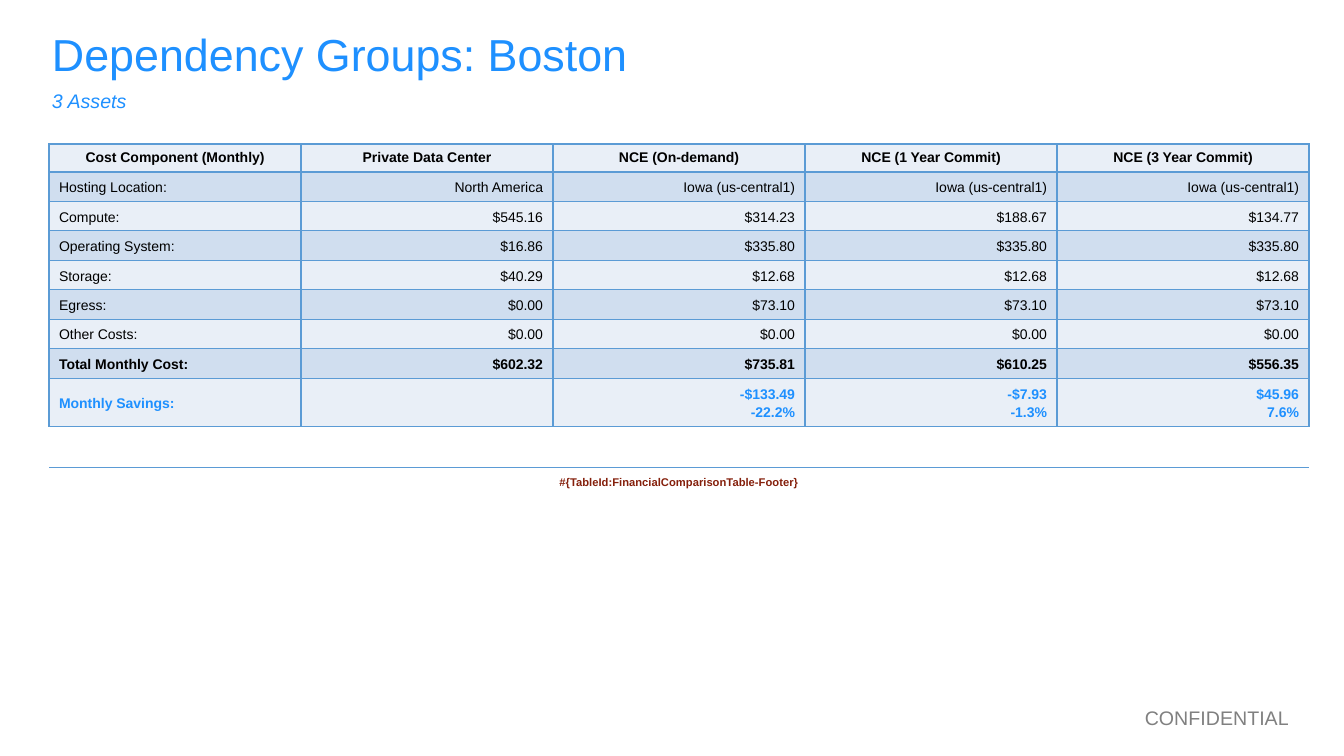
from lxml.etree import SubElement
from pptx import Presentation
from pptx.dml.color import RGBColor as Rgb
from pptx.enum.text import MSO_ANCHOR as Anchor, PP_ALIGN as Align
from pptx.oxml.ns import qn
from pptx.util import Emu, Pt

PX_PER_INCH = 100.8
FONT = "Arial"
COLORS = {
    "accent": "1E90FF",
    "text": "000000",
    "confidential": "808080",
    "footer": "85200C",
    "border": "5B9BD5",
    "light": "E9EFF7",
    "dark": "D0DEEF",
    "white": "FFFFFF",
}
NO_STYLE = "{2D5ABB26-0587-4C30-8999-92F81FD0307C}"

HEADERS = ["Cost Component (Monthly)", "Private Data Center", "NCE (On-demand)",
           "NCE (1 Year Commit)", "NCE (3 Year Commit)"]
COSTS = [
    ["Hosting Location:", "North America"] + ["Iowa (us-central1)"] * 3,
    ["Compute:", "$545.16", "$314.23", "$188.67", "$134.77"],
    ["Operating System:", "$16.86"] + ["$335.80"] * 3,
    ["Storage:", "$40.29"] + ["$12.68"] * 3,
    ["Egress:", "$0.00"] + ["$73.10"] * 3,
    ["Other Costs:"] + ["$0.00"] * 4,
    ["Total Monthly Cost:", "$602.32", "$735.81", "$610.25", "$556.35"],
    ["Monthly Savings:", "", "-$133.49\n-22.2%", "-$7.93\n-1.3%", "$45.96\n7.6%"],
]
TABLE_FOOTER = "#{TableId:FinancialComparisonTable-Footer}"
COLUMN_WIDTH, ROW_HEIGHT, SAVINGS_HEIGHT, SPACER_HEIGHT = 252, 28, 46, 39


def px(value):
    return Emu(round(value * 914400 / PX_PER_INCH))


def write(frame, text, size=10, color="text", bold=False, italic=False,
          align=Align.LEFT, spacing=1.0):
    """Fill a text frame, one paragraph per line of text."""
    frame.text = text
    for paragraph in frame.paragraphs:
        paragraph.alignment = align
        paragraph.line_spacing = spacing
        for run in paragraph.runs:
            font = run.font
            font.name, font.size = FONT, Pt(size)
            font.bold, font.italic = bold, italic
            font.color.rgb = Rgb.from_string(COLORS[color])


def place_text(box, bounds, text, inset_y=10, **text_format):
    box.left, box.top, box.width, box.height = map(px, bounds)
    frame = box.text_frame
    frame.word_wrap = True
    frame.vertical_anchor = Anchor.TOP
    frame.margin_left = frame.margin_right = px(10)
    frame.margin_top = frame.margin_bottom = px(inset_y)
    write(frame, text, **text_format)


def add_text(slide, bounds, text, **text_format):
    box = slide.shapes.add_textbox(*map(px, bounds))
    place_text(box, bounds, text, **text_format)


def fill_cell(cell, color):
    cell.vertical_anchor = Anchor.MIDDLE
    cell.fill.solid()
    cell.fill.fore_color.rgb = Rgb.from_string(COLORS[color])


def border_cell(cell, sides):
    """Draw borders, which come before the fill in the cell properties."""
    properties = cell._tc.get_or_add_tcPr()
    for position, side in enumerate(sides):
        line = SubElement(properties, qn(f"a:ln{side}"), w=str(Pt(1)))
        solid = SubElement(line, qn("a:solidFill"))
        SubElement(solid, qn("a:srgbClr"), val=COLORS["border"])
        properties.insert(position, line)


def add_cost_table(slide, left, top):
    rows = [HEADERS] + COSTS
    spacer, footer = len(rows), len(rows) + 1
    heights = [ROW_HEIGHT] * (spacer - 1) + [SAVINGS_HEIGHT, SPACER_HEIGHT, ROW_HEIGHT]
    frame = slide.shapes.add_table(
        len(heights), len(HEADERS), px(left), px(top),
        px(COLUMN_WIDTH * len(HEADERS)), px(sum(heights)))
    table = frame.table
    table.first_row = table.horz_banding = False
    table._tbl.tblPr.find(qn("a:tableStyleId")).text = NO_STYLE
    for column in table.columns:
        column.width = px(COLUMN_WIDTH)
    for row, height in zip(table.rows, heights):
        row.height = px(height)

    # Header and cost rows
    for r, values in enumerate(rows):
        is_header, is_savings = r == 0, r == spacer - 1
        for c, value in enumerate(values):
            cell = table.cell(r, c)
            fill_cell(cell, "dark" if r % 2 else "light")
            border_cell(cell, "LRTB")
            if value:
                write(cell.text_frame, value,
                      color="accent" if is_savings else "text",
                      bold=is_header or r >= spacer - 2,
                      align=(Align.CENTER if is_header
                             else Align.RIGHT if c else Align.LEFT),
                      spacing=1.0 if is_header else 1.15)

    # Merged spacer and footer rows
    for r in (spacer, footer):
        table.cell(r, 0).merge(table.cell(r, len(HEADERS) - 1))
        fill_cell(table.cell(r, 0), "white")
    for c in range(len(HEADERS)):
        border_cell(table.cell(spacer, c), "T")
    write(table.cell(footer, 0).text_frame, TABLE_FOOTER, size=8, color="footer",
          bold=True, align=Align.CENTER, spacing=1.15)


def main():
    deck = Presentation()
    deck.slide_width, deck.slide_height = px(1344), px(756)
    slide = deck.slides.add_slide(deck.slide_layouts[5])

    # Heading
    place_text(slide.shapes.title, (42, 17, 1260, 89), "Dependency Groups: Boston",
               size=32, color="accent")
    add_text(slide, (42, 79, 1260, 89), "3 Assets", size=14, color="accent", italic=True)

    # Cost comparison
    add_cost_table(slide, 49, 144)

    # Page footer
    add_text(slide, (1075, 701, 224, 34), "CONFIDENTIAL", inset_y=5, size=14,
             color="confidential", align=Align.RIGHT)

    deck.save("out.pptx")


if __name__ == "__main__":
    main()
